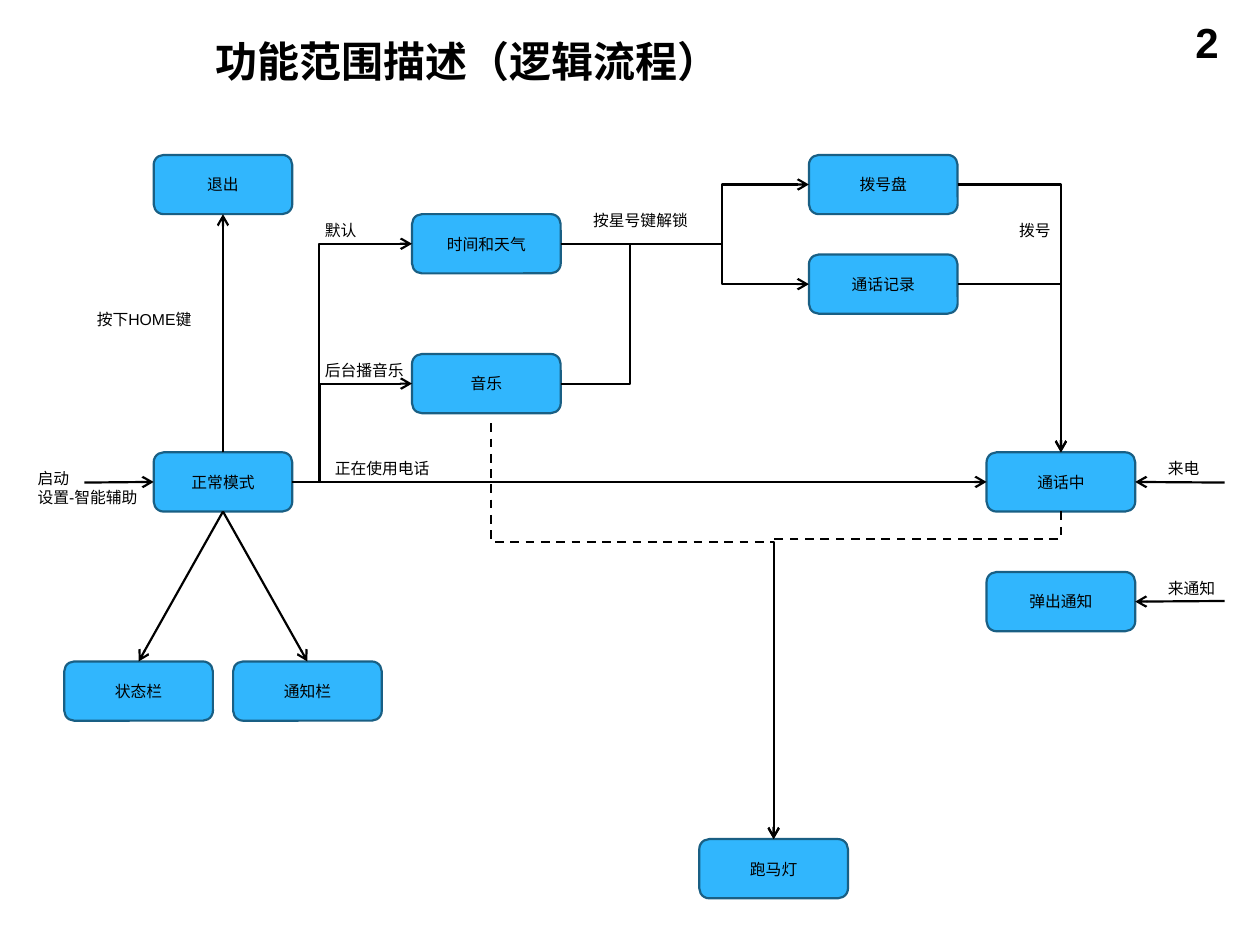
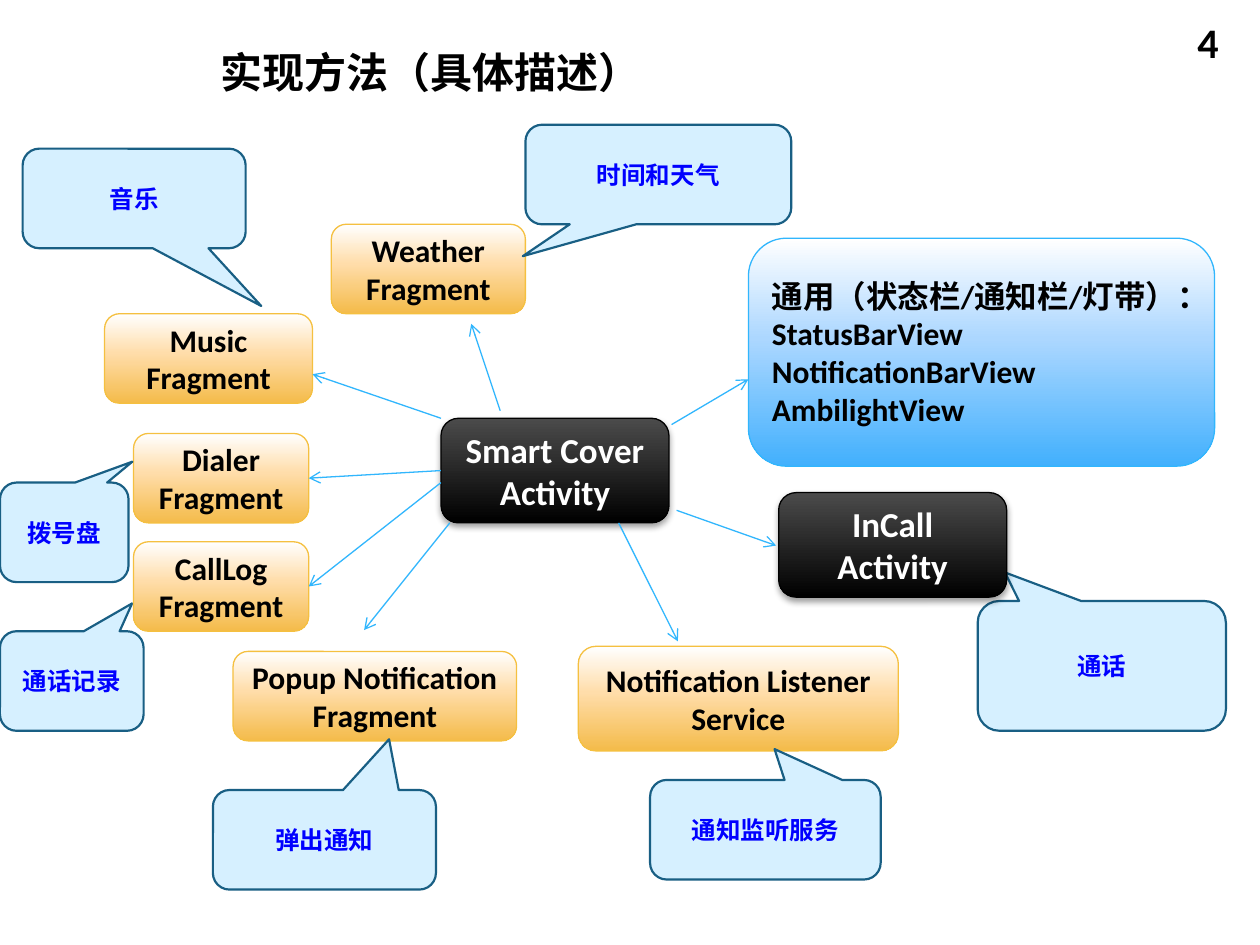
from copy import deepcopy

from lxml.etree import SubElement
from pptx import Presentation
from pptx.dml.color import RGBColor
from pptx.enum.dml import MSO_LINE
from pptx.enum.shapes import MSO_CONNECTOR, MSO_SHAPE
from pptx.enum.text import MSO_ANCHOR, MSO_AUTO_SIZE, PP_ALIGN
from pptx.oxml.ns import qn
from pptx.shapes.autoshape import Shape
from pptx.util import Inches, Pt

BLACK = RGBColor(0x00, 0x00, 0x00)
WHITE = RGBColor(0xFF, 0xFF, 0xFF)
CHARCOAL = RGBColor(0x4B, 0x4B, 0x4B)
SKY = RGBColor(0x31, 0xB6, 0xFD)
NAVY = RGBColor(0x19, 0x5F, 0x84)
PALE_SKY = RGBColor(0xD6, 0xF0, 0xFF)
NOTE_BLUE = RGBColor(0x00, 0x00, 0xFF)
AMBER = RGBColor(0xF5, 0xC0, 0x40)

DARK_STOPS = [(0, CHARCOAL), (1, BLACK)]
AMBER_STOPS = [(0, WHITE), (0.44, RGBColor(0xFF, 0xDD, 0xAA)), (1, RGBColor(0xF4, 0xBB, 0x4A))]
SKY_STOPS = [(0, WHITE), (0.44, RGBColor(0xAC, 0xD7, 0xFF)), (1, RGBColor(0x42, 0xB0, 0xFD))]

TOP, LEFT, BOTTOM, RIGHT = range(4)


def to_inches(*lengths):
    return [Inches(length) for length in lengths]


def locate(end):
    """Turn (shape, side) or (x, y) in inches into a point."""
    if not isinstance(end[0], Shape):
        return to_inches(*end)
    shape, side = end
    across = {LEFT: 0, RIGHT: 2}.get(side, 1)
    down = {TOP: 0, BOTTOM: 2}.get(side, 1)
    return shape.left + shape.width * across // 2, shape.top + shape.height * down // 2


class Deck:
    """Holds the shared style and the slide being built."""

    def __init__(self):
        self.presentation = Presentation()
        self.presentation.slide_width = Inches(10)
        self.presentation.slide_height = Inches(7.5)

    def start_slide(self, heading, number, place, font):
        layout = self.presentation.slide_layouts[5]
        self.slide = self.presentation.slides.add_slide(layout)
        title = self.slide.shapes.title
        title.left, title.top, title.width, title.height = to_inches(*place)
        title.text_frame.auto_size = MSO_AUTO_SIZE.NONE
        self.set_text(title, [heading], 24, font, bold=True)
        title.text_frame.vertical_anchor = MSO_ANCHOR.MIDDLE
        page = self.slide.shapes.add_textbox(*to_inches(7.44, 0.08, 2.33, 0.52))
        self.set_text(page, [number], 24, font, bold=True, align=PP_ALIGN.RIGHT)

    def set_text(self, shape, texts, size, font, color=BLACK, bold=False,
                 align=PP_ALIGN.LEFT, wrap=True):
        frame = shape.text_frame
        frame.word_wrap = wrap
        for index, text in enumerate(texts):
            paragraph = frame.add_paragraph() if index else frame.paragraphs[0]
            paragraph.text = text
            paragraph.alignment = align
            paragraph.font.size = Pt(size)
            paragraph.font.name = font
            paragraph.font.bold = bold
            paragraph.font.color.rgb = color

    def label(self, text, x, y, width, height=0.25, wrap=False):
        label = self.slide.shapes.add_textbox(*to_inches(x, y, width, height))
        self.set_text(label, text.split("\n"), 9, "Arial", wrap=wrap)

    def panel(self, preset, place, texts, size, line, line_width, **text_style):
        panel = self.slide.shapes.add_shape(preset, *to_inches(*place))
        panel.shadow.inherit = False
        panel.line.color.rgb = line
        panel.line.width = Pt(line_width)
        panel.text_frame.vertical_anchor = MSO_ANCHOR.MIDDLE
        self.set_text(panel, texts, size, "Calibri", **text_style)
        return panel

    def step(self, text, x, y, width=1.18):
        step = self.panel(MSO_SHAPE.ROUNDED_RECTANGLE, (x, y, width, 0.47), [text], 9,
                          NAVY, 1.25, align=PP_ALIGN.CENTER)
        step.fill.solid()
        step.fill.fore_color.rgb = SKY
        return step

    def callout(self, text, place, tip):
        callout = self.panel(MSO_SHAPE.ROUNDED_RECTANGULAR_CALLOUT, place, [text], 14, NAVY, 1.25,
                             color=NOTE_BLUE, bold=True, align=PP_ALIGN.CENTER)
        callout.fill.solid()
        callout.fill.fore_color.rgb = PALE_SKY
        callout.adjustments[0], callout.adjustments[1] = tip

    def gradient_card(self, texts, place, stops=AMBER_STOPS, line=AMBER, size=18,
                      color=BLACK, align=PP_ALIGN.CENTER):
        card = self.panel(MSO_SHAPE.ROUNDED_RECTANGLE, place, texts, size, line, 0.75,
                          color=color, bold=True, align=align)
        card.fill.gradient()
        card.fill.gradient_angle = 270
        stop_list = card.element.spPr.find(".//" + qn("a:gsLst"))
        for _ in stops[2:]:
            stop_list.append(deepcopy(stop_list[0]))
        for stop, (position, rgb) in zip(card.fill.gradient_stops, stops):
            stop.position = position
            stop.color.rgb = rgb
        return card

    def activity(self, text, x, y):
        card = self.gradient_card([text], (x, y, 1.81, 0.83), DARK_STOPS, BLACK, 20, WHITE)
        effects = card.element.spPr.find(qn("a:effectLst"))
        shadow = SubElement(effects, qn("a:outerShdw"), blurRad=str(Pt(4)), dist=str(Pt(2)),
                            dir="5400000", rotWithShape="0")
        shadow_color = SubElement(shadow, qn("a:srgbClr"), val=str(BLACK))
        SubElement(shadow_color, qn("a:alpha"), val="38000")
        return card

    def style_connector(self, connector, color, width, arrow=True, dashed=False):
        connector.line.color.rgb = color
        connector.line.width = Pt(width)
        if dashed:
            connector.line.dash_style = MSO_LINE.DASH
        properties = connector.element.spPr
        if arrow:
            SubElement(properties.find(qn("a:ln")), qn("a:tailEnd"), type="arrow")
        SubElement(properties, qn("a:effectLst"))

    def arrow(self, start, end, color=BLACK, width=1.25):
        arrow = self.slide.shapes.add_connector(
            MSO_CONNECTOR.STRAIGHT, *locate(start), *locate(end))
        if isinstance(start[0], Shape):
            arrow.begin_connect(*start)
        if isinstance(end[0], Shape):
            arrow.end_connect(*end)
        self.style_connector(arrow, color, width)

    def elbow(self, start, end, bend=None, downward=False, arrow=True, dashed=False):
        """Bend once, or twice when bend gives the share of the way to the first turn."""
        (x1, y1), (x2, y2) = locate(start), locate(end)
        if downward:
            # Lay the route on its side about its centre; the rotation stands it up.
            center_x, center_y = (x1 + x2) // 2, (y1 + y2) // 2
            half_run, half_rise = (y2 - y1) // 2, (x1 - x2) // 2
            x1, x2 = center_x - half_run, center_x + half_run
            y1, y2 = center_y - half_rise, center_y + half_rise
        elbow = self.slide.shapes.add_connector(MSO_CONNECTOR.ELBOW, x1, y1, x2, y2)
        properties = elbow.element.spPr
        if downward:
            properties.find(qn("a:xfrm")).set("rot", "5400000")
        geometry = properties.find(qn("a:prstGeom"))
        if bend is None:
            geometry.set("prst", "bentConnector2")
        else:
            SubElement(geometry.find(qn("a:avLst")), qn("a:gd"), name="adj1",
                       fmla=f"val {round(bend * 100000)}")
        self.style_connector(elbow, BLACK, 1.25, arrow, dashed)


def build_logic_flow(deck):
    deck.start_slide("功能范围描述（逻辑流程）", "2", (1.61, 0.21, 8.19, 0.55), "Arial")

    normal_mode = deck.step("正常模式", 1.22, 3.59, 1.1)
    leave = deck.step("退出", 1.22, 1.23, 1.1)
    dial_pad = deck.step("拨号盘", 6.42, 1.23)
    call_log = deck.step("通话记录", 6.42, 2.02)
    weather = deck.step("时间和天气", 3.27, 1.7)
    music = deck.step("音乐", 3.27, 2.81)
    in_call = deck.step("通话中", 7.83, 3.59)
    popup = deck.step("弹出通知", 7.83, 4.54)
    light_strip = deck.step("跑马灯", 5.55, 6.66)
    status_bar = deck.step("状态栏", 0.51, 5.25)
    notification_bar = deck.step("通知栏", 1.85, 5.25)

    for start, end in [
        ((0.67, 3.83), (normal_mode, LEFT)),
        ((normal_mode, TOP), (leave, BOTTOM)),
        ((normal_mode, RIGHT), (in_call, LEFT)),
        ((normal_mode, BOTTOM), (status_bar, TOP)),
        ((normal_mode, BOTTOM), (notification_bar, TOP)),
        ((9.72, 3.83), (in_call, RIGHT)),
        ((9.72, 4.77), (popup, RIGHT)),
    ]:
        deck.arrow(start, end)

    for source, target, bend in [
        (weather, dial_pad, 0.65),
        (weather, call_log, 0.65),
        (normal_mode, weather, 0.22),
        (normal_mode, music, 0.23),
    ]:
        deck.elbow((source, RIGHT), (target, LEFT), bend)
    deck.elbow((music, RIGHT), (5, 1.94), arrow=False)
    for source in (dial_pad, call_log):
        deck.elbow((source, RIGHT), (in_call, TOP))
    for start, bend in [((3.9, 3.36), 0.285), ((in_call, BOTTOM), 0.085)]:
        deck.elbow(start, (light_strip, TOP), bend, downward=True, dashed=True)

    deck.label("按下HOME键", 0.67, 2.41, 1.1, wrap=True)
    deck.label("启动\n设置-智能辅助", 0.2, 3.67, 1.1, 0.4, wrap=True)
    for text, x, y, width in [
        ("按星号键解锁", 4.61, 1.62, 0.96),
        ("拨号", 7.99, 1.7, 0.45),
        ("默认", 2.48, 1.7, 0.45),
        ("后台播音乐", 2.48, 2.81, 0.83),
        ("来电", 9.17, 3.59, 0.45),
        ("正在使用电话", 2.56, 3.59, 0.96),
        ("来通知", 9.17, 4.54, 0.58),
    ]:
        deck.label(text, x, y, width)


def build_implementation(deck):
    deck.start_slide("实现方法（具体描述）", "4", (1.65, 0.3, 7.85, 0.54), "Calibri")

    smart_cover = deck.activity("Smart Cover\nActivity", 3.5, 3.32)
    deck.gradient_card(["Notification Listener Service"], (4.59, 5.13, 2.54, 0.83))
    deck.gradient_card(["Music\nFragment"], (0.83, 2.49, 1.65, 0.71))
    dialer = deck.gradient_card(["Dialer\nFragment"], (1.06, 3.44, 1.39, 0.71))
    deck.gradient_card(["Popup Notification\nFragment"], (1.85, 5.17, 2.25, 0.71))
    deck.gradient_card(["Weather\nFragment"], (2.63, 1.78, 1.54, 0.71))
    deck.gradient_card(
        ["通用（状态栏/通知栏/灯带）：", "StatusBarView\nNotificationBarView\nAmbilightView"],
        (5.94, 1.89, 3.7, 1.81), SKY_STOPS, SKY, align=PP_ALIGN.LEFT)

    for text, place, tip in [
        ("通知监听服务", (5.16, 6.19, 1.83, 0.79), (0.04, -0.81)),
        ("通话", (7.76, 4.77, 1.97, 1.03), (-0.39, -0.72)),
        ("通话记录", (0, 5.01, 1.14, 0.79), (0.42, -0.78)),
        ("音乐", (0.18, 1.18, 1.77, 0.79), (0.57, 1.08)),
        ("弹出通知", (1.69, 6.27, 1.77, 0.79), (0.29, -1.01)),
        ("时间和天气", (4.17, 0.99, 2.11, 0.79), (-0.51, 0.82)),
    ]:
        deck.callout(text, place, tip)

    deck.activity("InCall\nActivity", 6.18, 3.91)
    call_log = deck.gradient_card(["CallLog\nFragment"], (1.06, 4.3, 1.39, 0.71))
    deck.callout("拨号盘", (0, 3.83, 1.02, 0.79), (0.53, -0.71))

    for start, end in [
        ((5.37, 4.05), (6.16, 4.33)),
        ((4.91, 4.15), (5.38, 5.09)),
        ((3.5, 3.32), (2.48, 2.97)),
        ((smart_cover, LEFT), (dialer, RIGHT)),
        ((3.57, 4.15), (2.89, 5)),
        ((3.97, 3.26), (3.74, 2.57)),
        ((5.33, 3.37), (5.94, 3.01)),
        ((3.5, 3.83), (call_log, RIGHT)),
    ]:
        deck.arrow(start, end, SKY, 0.75)


def main():
    deck = Deck()
    build_logic_flow(deck)
    build_implementation(deck)
    deck.presentation.save("out.pptx")


if __name__ == "__main__":
    main()
